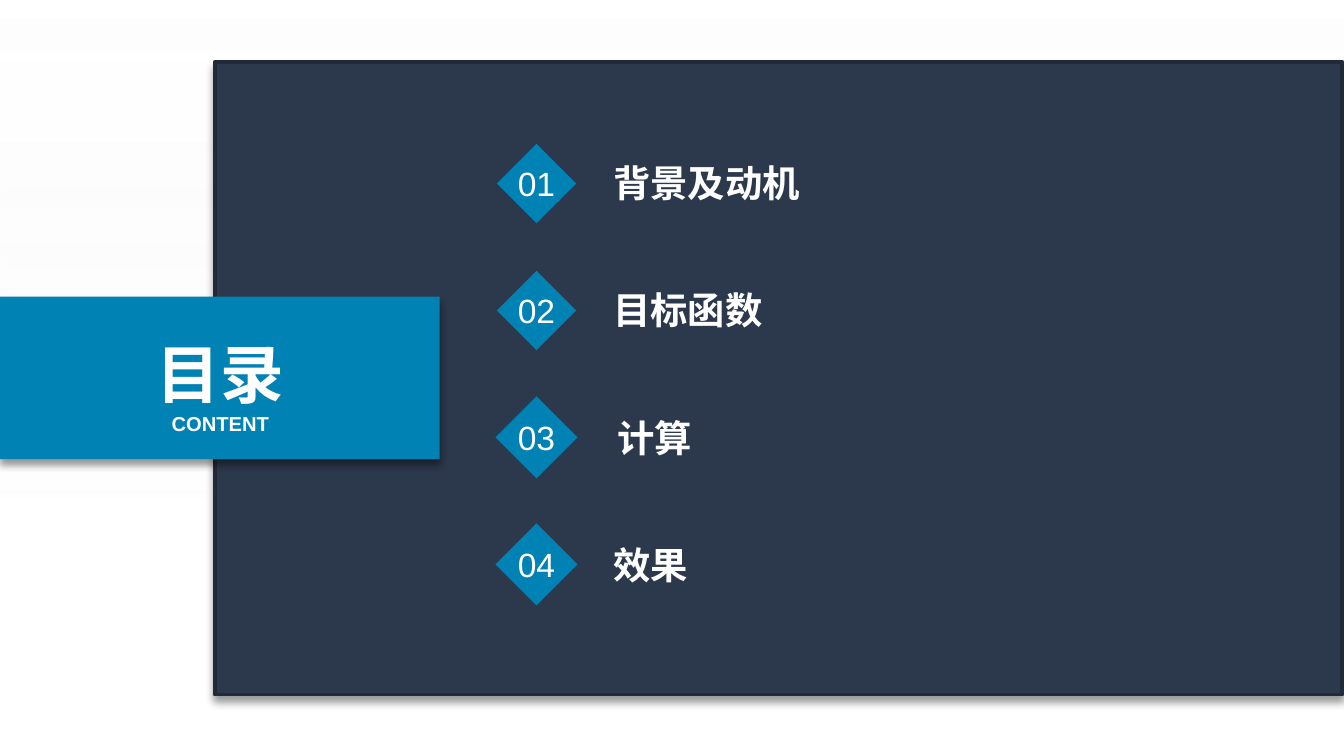
from dataclasses import dataclass

from lxml.etree import SubElement
from pptx import Presentation
from pptx.dml.color import RGBColor
from pptx.enum.shapes import MSO_SHAPE
from pptx.enum.text import MSO_ANCHOR, PP_ALIGN
from pptx.oxml.ns import qn
from pptx.util import Cm, Pt


@dataclass(frozen=True)
class Theme:
    font: str = "Arial"
    white: str = "FFFFFF"
    grey: str = "F2F2F2"
    navy: str = "2C394C"
    navy_edge: str = "212A38"
    blue: str = "0083B4"
    shadow: str = "000000"
    title: float = 34.1
    subtitle: float = 10.8
    number: float = 18
    label: float = 20


class Deck:
    """Holds the theme and the slide being drawn; lengths are in cm."""

    def __init__(self, prs, theme):
        self.theme = theme
        self.s = prs.slides.add_slide(prs.slide_layouts[6])

    def shape(self, kind, x, y, w, h, fill=None, line=None):
        sp = self.s.shapes.add_shape(kind, Cm(x), Cm(y), Cm(w), Cm(h))
        sp.shadow.inherit = False
        if fill:
            sp.fill.solid()
            sp.fill.fore_color.rgb = RGBColor.from_string(fill)
        if line:
            sp.line.color.rgb = RGBColor.from_string(line)
            sp.line.width = Pt(2)
        else:
            sp.line.fill.background()
        return sp

    def backdrop(self, w, h):
        """Vertical gradient that fades out towards the bottom."""
        sp = self.shape(MSO_SHAPE.RECTANGLE, 0, 0, w, h)
        sp.fill.gradient()
        sp.fill.gradient_angle = 270
        stops = ((0, self.theme.white, 55), (0.71, self.theme.grey, 0))
        for stop, (position, color, _) in zip(sp.fill.gradient_stops, stops):
            stop.position = position
            stop.color.rgb = RGBColor.from_string(color)
        colors = sp._element.spPr.iter(qn("a:srgbClr"))
        for clr, (_, _, opacity) in zip(colors, stops):
            SubElement(clr, qn("a:alpha"), val=str(opacity * 1000))

    def panel(self, x, y, w, h, fill, line=None):
        """Rectangle with a soft shadow below it."""
        sp = self.shape(MSO_SHAPE.RECTANGLE, x, y, w, h, fill, line)
        effects = sp._element.spPr.find(qn("a:effectLst"))
        shadow = SubElement(effects, qn("a:outerShdw"), blurRad=str(Pt(4)),
                            dist=str(Pt(3)), dir="5400000", algn="t", rotWithShape="0")
        clr = SubElement(shadow, qn("a:srgbClr"), val=self.theme.shadow)
        SubElement(clr, qn("a:alpha"), val="40000")

    def set_text(self, tf, text, size, bold, align):
        tf.text = text
        p = tf.paragraphs[0]
        p.alignment = align
        font = p.runs[0].font
        font.name, font.size, font.bold = self.theme.font, Pt(size), bold
        font.color.rgb = RGBColor.from_string(self.theme.white)

    def diamond(self, cx, cy, size, text):
        sp = self.shape(MSO_SHAPE.DIAMOND, cx - size / 2, cy - size / 2,
                        size, size, self.theme.blue)
        tf = sp.text_frame
        tf.margin_left = tf.margin_right = tf.margin_top = tf.margin_bottom = 0
        tf.vertical_anchor = MSO_ANCHOR.MIDDLE
        tf.word_wrap = False
        self.set_text(tf, text, self.theme.number, False, PP_ALIGN.CENTER)

    def text(self, x, y, w, h, text, size, align=PP_ALIGN.CENTER):
        tf = self.s.shapes.add_textbox(Cm(x), Cm(y), Cm(w), Cm(h)).text_frame
        tf.word_wrap = True
        self.set_text(tf, text, size, True, align)
        return tf

    def label(self, x, y, text):
        tf = self.text(x, y, 8.25, 0.84, text, self.theme.label, PP_ALIGN.LEFT)
        tf.margin_left = Cm(1)
        tf.margin_right = tf.margin_top = tf.margin_bottom = 0
        tf.vertical_anchor = MSO_ANCHOR.BOTTOM


def main():
    prs = Presentation()
    prs.slide_width, prs.slide_height = Cm(25.4), Cm(14.29)
    theme = Theme()
    deck = Deck(prs, theme)

    deck.backdrop(25.4, 14.29)
    deck.panel(4.06, 1.17, 21.31, 11.96, theme.navy, theme.navy_edge)

    deck.panel(0, 5.61, 8.31, 3.07, theme.blue)
    deck.text(2.69, 6.2, 2.95, 1.6, "目录", theme.title)
    deck.text(2.69, 7.65, 2.95, 0.64, "CONTENT", theme.subtitle)

    # topic, diamond size, label left
    topics = (("背景及动机", 1.5, 10.59), ("目标函数", 1.5, 10.59),
              ("计算", 1.55, 10.67), ("效果", 1.55, 10.59))
    for i, (topic, size, left) in enumerate(topics):
        deck.diamond(10.14, 3.47 + 2.4 * i, size, f"{i + 1:02}")
        deck.label(left, 3.03 + 2.41 * i, topic)

    prs.save("out.pptx")


if __name__ == "__main__":
    main()
